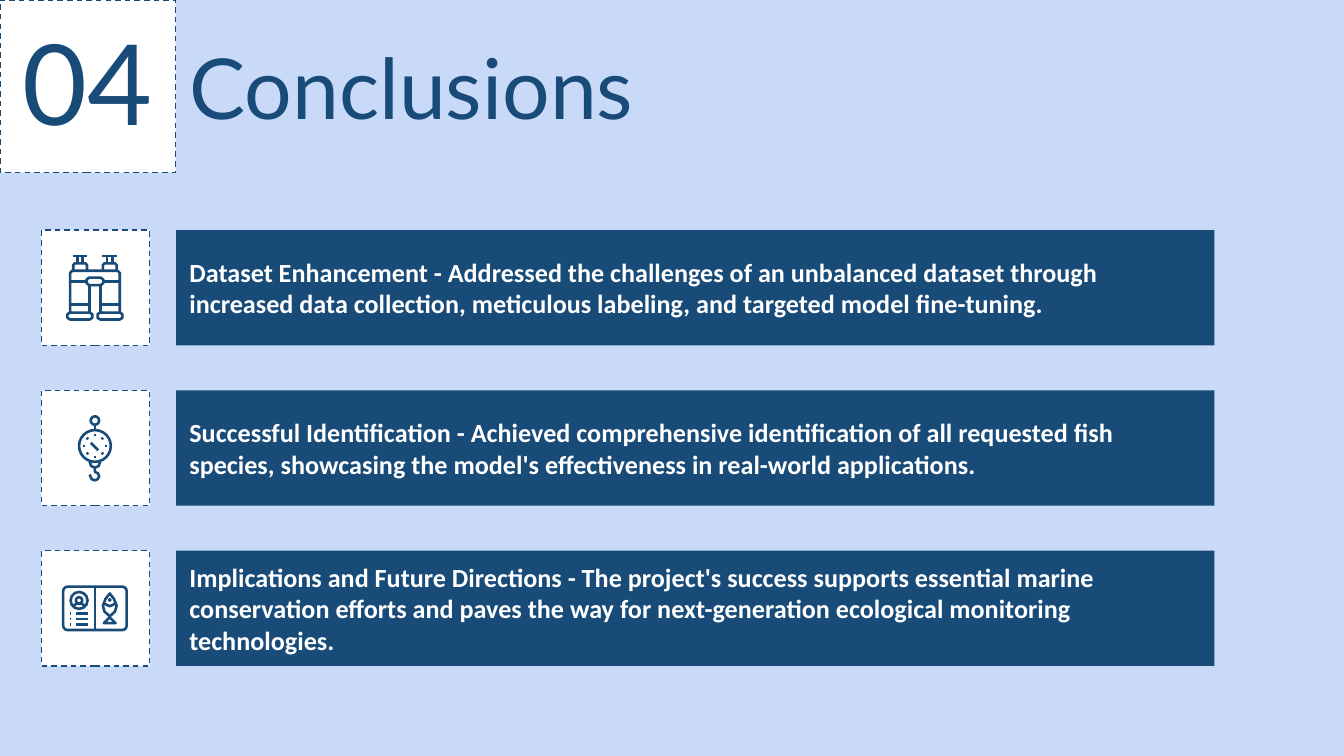
"""Build the conclusions slide: a numbered title and three icon cards with text bars."""
import dataclasses
import math

import lxml.etree
import pptx
import pptx.dml.color
import pptx.enum.dml
import pptx.enum.shapes
import pptx.enum.text
import pptx.oxml.ns
import pptx.util

Cm = pptx.util.Cm
Pt = pptx.util.Pt
Kind = pptx.enum.shapes.MSO_SHAPE
Align = pptx.enum.text.PP_ALIGN
Anchor = pptx.enum.text.MSO_ANCHOR


@dataclasses.dataclass
class Theme:
    navy: str = "194B79"
    white: str = "FFFFFF"
    sky: str = "C9DAF8"
    head: str = "Lato"
    body: str = "Calibri"
    large: int = 60
    title: int = 45
    text: int = 14
    dash: float = 0.75
    stroke: float = 1.4


theme = Theme()


def paint(shape, fill=None, width=None):
    shape.shadow.inherit = False
    if fill:
        shape.fill.solid()
        shape.fill.fore_color.rgb = pptx.dml.color.RGBColor.from_string(fill)
    else:
        shape.fill.background()
    if width:
        shape.line.color.rgb = pptx.dml.color.RGBColor.from_string(theme.navy)
        shape.line.width = Pt(width)
    else:
        shape.line.fill.background()
    if width == theme.dash:
        shape.line.dash_style = pptx.enum.dml.MSO_LINE.DASH


def write(shape, text, size, font, color, align=Align.LEFT, anchor=Anchor.MIDDLE, bold=False):
    frame = shape.text_frame
    frame.word_wrap = True
    frame.vertical_anchor = anchor
    frame.margin_left = frame.margin_right = Cm(0.25)
    frame.margin_top = frame.margin_bottom = Cm(0.25)
    frame.paragraphs[0].alignment = align
    run = frame.paragraphs[0].add_run()
    run.text = text
    run.font.size = Pt(size)
    run.font.name = font
    run.font.bold = bold
    run.font.color.rgb = pptx.dml.color.RGBColor.from_string(color)


deck = pptx.Presentation()
deck.slide_width = Cm(25.4)
deck.slide_height = Cm(14.29)
slide = deck.slides.add_slide(deck.slide_layouts[6])
slide.background.fill.solid()
slide.background.fill.fore_color.rgb = pptx.dml.color.RGBColor.from_string(theme.sky)
shapes = slide.shapes

title = shapes.add_shape(Kind.RECTANGLE, Cm(3.33), 0, Cm(12.88), Cm(3.25))
paint(title, theme.sky)
write(title, "Conclusions", theme.title, theme.head, theme.navy)
number = shapes.add_shape(Kind.RECTANGLE, 0, 0, Cm(3.32), Cm(3.26))
paint(number, theme.white, theme.dash)
write(number, "04", theme.large, theme.head, theme.navy, Align.CENTER, Anchor.TOP)

half = [
    [(0.14, -0.6), (0.42, -0.6)],
    [(0.23, -0.6), (0.23, -0.46)],
    [(0.33, -0.6), (0.33, -0.46)],
    [(0.15, -0.32), (0.15, -0.43), (0.18, -0.46), (0.38, -0.46), (0.41, -0.43), (0.41, -0.32)],
    [(0, -0.32), (0.43, -0.32), (0.47, -0.28), (0.47, 0.47)],
    [(0.1, -0.05), (0.1, 0.47)],
    [(0.16, -0.12), (0.47, -0.12)],
    [(0.1, 0.32), (0.47, 0.32)],
    [(0.1, 0.47), (0.47, 0.47), (0.52, 0.5), (0.52, 0.57), (0.47, 0.6),
     (0.1, 0.6), (0.05, 0.57), (0.05, 0.5), (0.1, 0.47)],
    [(0, -0.19), (0.11, -0.19), (0.16, -0.15), (0.16, -0.09), (0.11, -0.05), (0, -0.05)],
]
lens = [[(side * x, y) for x, y in line] for side in (-1, 1) for line in half]

scale_parts = [
    (Kind.OVAL, -0.08, -0.6, 0.16, 0.16),
    (Kind.OVAL, -0.3, -0.34, 0.6, 0.6),
]
scale_lines = [
    [(0, -0.44), (0, -0.34)],
    [(-0.08, -0.1), (0.06, 0.04)],
    [(-0.1, 0.26), (-0.07, 0.34), (0, 0.37), (0.07, 0.34), (0.1, 0.26)],
    [(0, 0.37), (0, 0.45), (0.06, 0.48), (0.08, 0.54), (0.05, 0.59),
     (0, 0.61), (-0.06, 0.59), (-0.1, 0.5)],
]
for step in range(8):
    turn = step * math.pi / 4
    scale_lines.append([(r * math.cos(turn), r * math.sin(turn) - 0.04) for r in (0.18, 0.22)])

pass_parts = [
    (Kind.ROUNDED_RECTANGLE, -0.6, -0.41, 1.2, 0.82),
    (Kind.OVAL, -0.46, -0.31, 0.32, 0.32),
    (Kind.OVAL, -0.36, -0.21, 0.12, 0.12),
    (Kind.OVAL, 0.27, -0.17, 0.02, 0.02),
]
pass_lines = [
    [(0, -0.41), (0, 0.41)],
    [(-0.4, -0.05), (-0.35, -0.09), (-0.25, -0.09), (-0.2, -0.05)],
    [(0.28, -0.28), (0.36, -0.18), (0.41, -0.05), (0.38, 0.06), (0.28, 0.15),
     (0.18, 0.06), (0.15, -0.05), (0.2, -0.18), (0.28, -0.28)],
    [(0.17, -0.09), (0.28, -0.04), (0.39, -0.09)],
    [(0.28, 0.17), (0.39, 0.28), (0.17, 0.28), (0.28, 0.17)],
]
for level in (0.1, 0.2, 0.3):
    pass_lines += [[(-0.48, level), (-0.45, level)], [(-0.36, level), (-0.14, level)]]

cards = [
    ([], [lens],
     "Dataset Enhancement - Addressed the challenges of an unbalanced dataset through "
     "increased data collection, meticulous labeling, and targeted model fine-tuning."),
    (scale_parts, [[line] for line in scale_lines],
     "Successful Identification - Achieved comprehensive identification of all requested fish "
     "species, showcasing the model's effectiveness in real-world applications."),
    (pass_parts, [[line] for line in pass_lines],
     "Implications and Future Directions - The project's success supports essential marine "
     "conservation efforts and paves the way for next-generation ecological monitoring "
     "technologies."),
]
left, wide, tall = 0.78, 2.05, 2.18
for row, (parts, strokes, text) in enumerate(cards):
    top = 4.35 + row * 3.03
    card = shapes.add_shape(Kind.RECTANGLE, Cm(left), Cm(top), Cm(wide), Cm(tall))
    paint(card, theme.white, theme.dash)
    bar = shapes.add_shape(Kind.RECTANGLE, Cm(3.33), Cm(top), Cm(19.62), Cm(tall))
    paint(bar, theme.navy)
    write(bar, text, theme.text, theme.body, theme.white, bold=True)
    mid_x, mid_y = left + wide / 2 - 0.01, top + tall / 2
    for kind, x, y, w, h in parts:
        part = shapes.add_shape(kind, Cm(mid_x + x), Cm(mid_y + y), Cm(w), Cm(h))
        paint(part, theme.white, theme.stroke)
        if kind == Kind.ROUNDED_RECTANGLE:
            part.adjustments[0] = 0.1
    for stroke in strokes:
        lines = [[(Cm(mid_x + x), Cm(mid_y + y)) for x, y in line] for line in stroke]
        if len(lines) == 1 and len(lines[0]) == 2:
            link = shapes.add_connector(
                pptx.enum.shapes.MSO_CONNECTOR.STRAIGHT, *lines[0][0], *lines[0][1])
            link.line.color.rgb = pptx.dml.color.RGBColor.from_string(theme.navy)
            link.line.width = Pt(theme.stroke)
            lxml.etree.SubElement(link._element.spPr, pptx.oxml.ns.qn("a:effectLst"))
            continue
        pen = shapes.build_freeform(*lines[0][0])
        for index, line in enumerate(lines):
            if index:
                pen.move_to(*line[0])
            pen.add_line_segments(line[1:], close=line[0] == line[-1])
        paint(pen.convert_to_shape(), None, theme.stroke)

deck.save("out.pptx")
